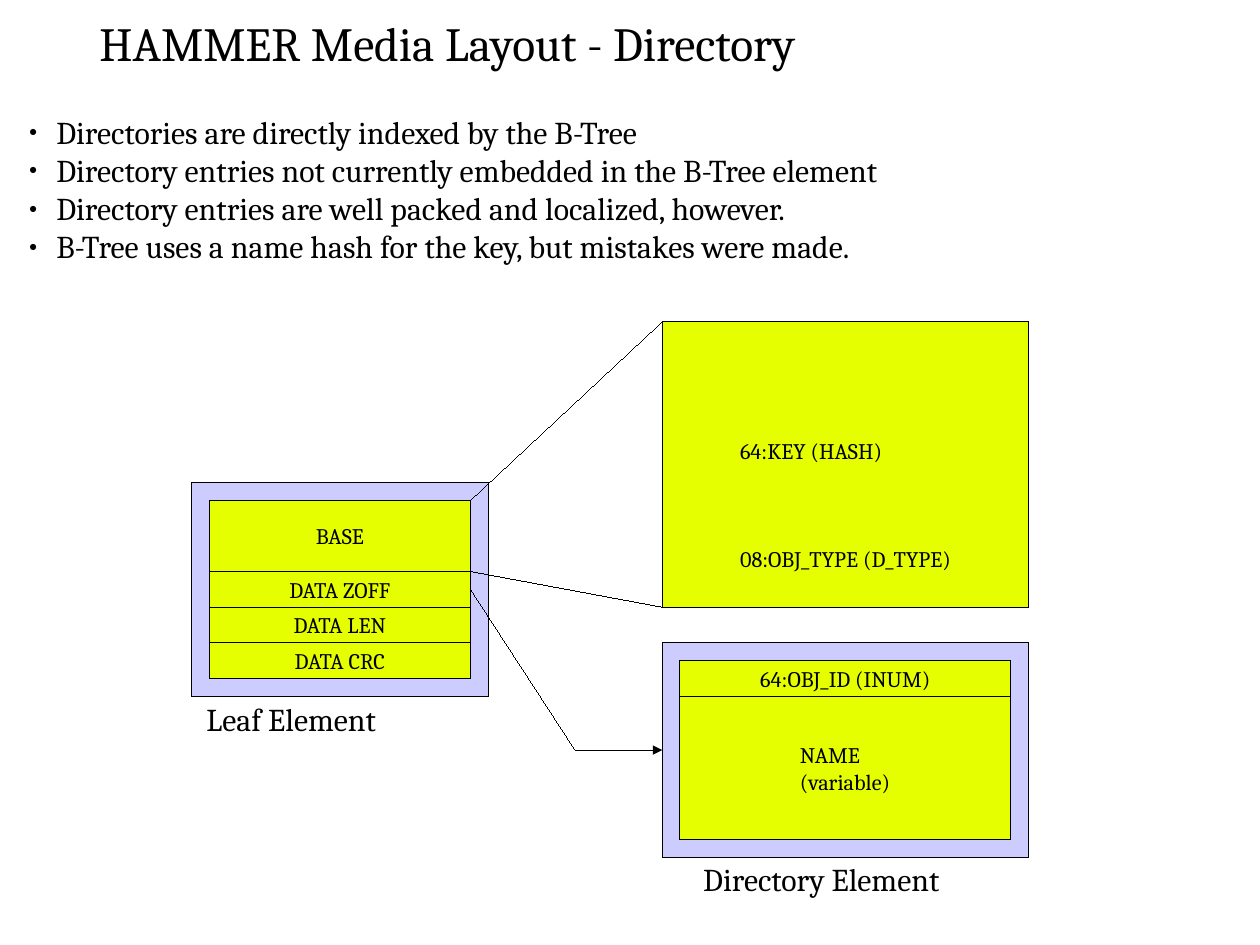
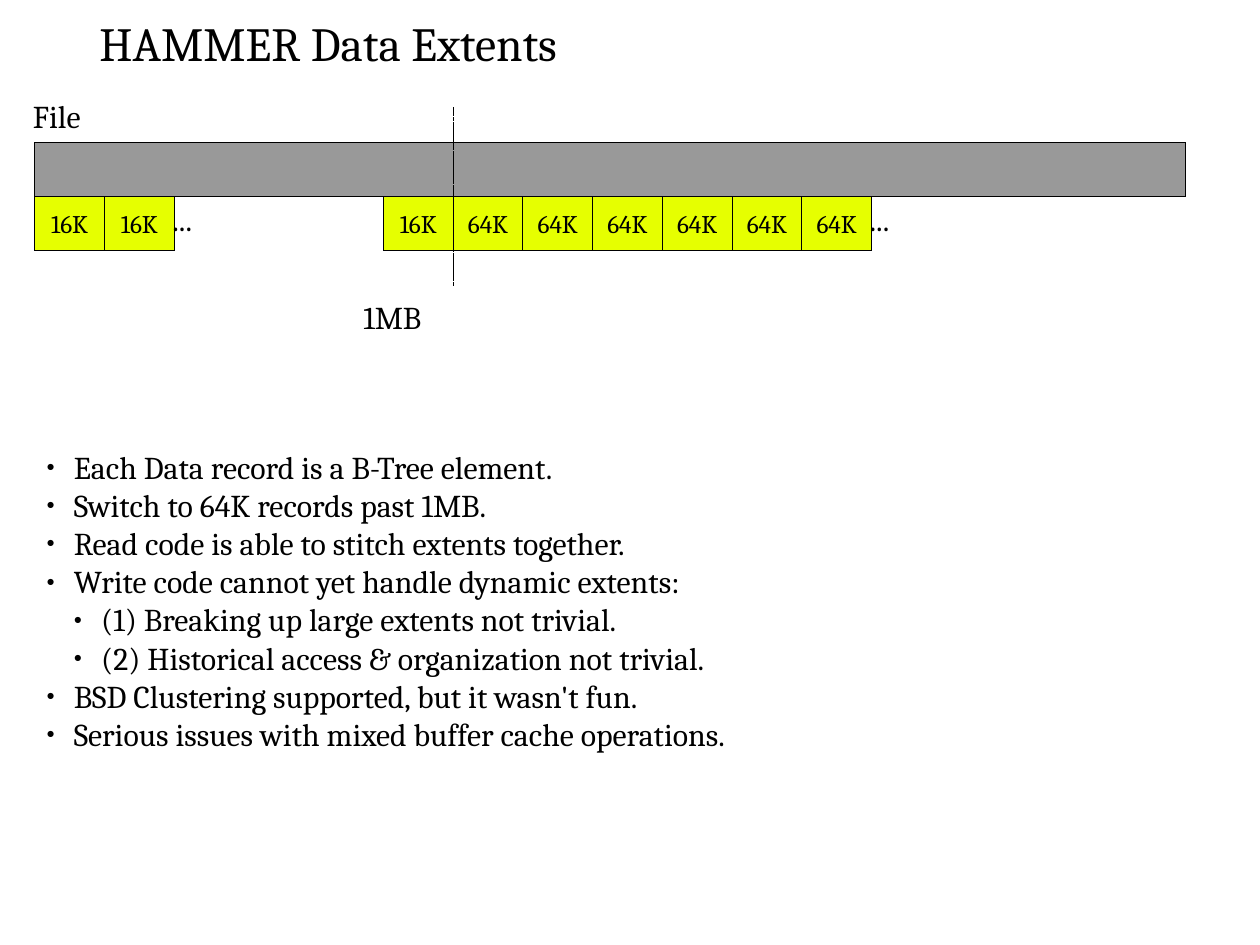
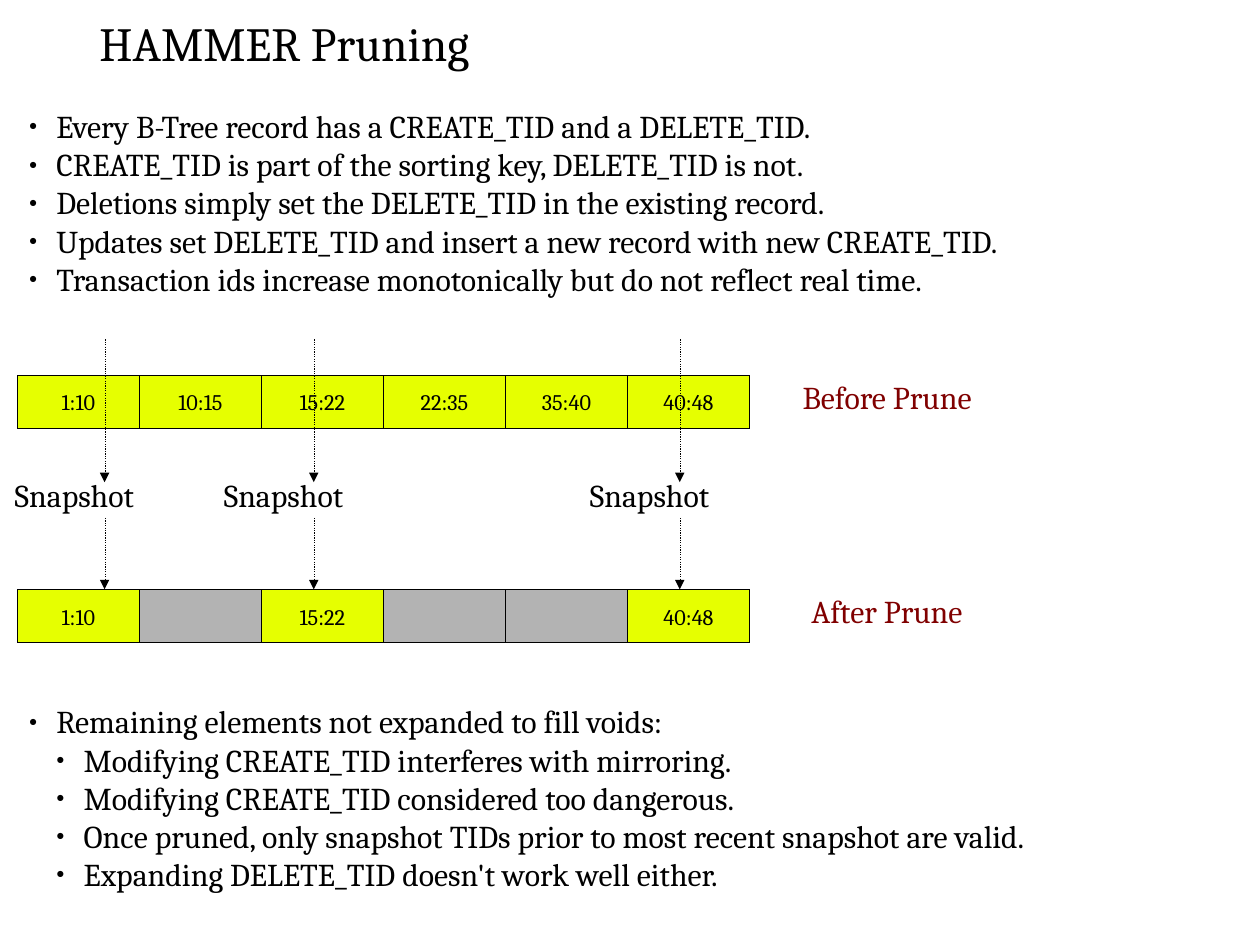
import pptx
import pptx.util
import pptx.dml.color
import pptx.enum.dml
import pptx.enum.shapes
import pptx.enum.text
import pptx.oxml.ns
from lxml import etree

Inches, Pt, Cm = pptx.util.Inches, pptx.util.Pt, pptx.util.Cm
ALIGN = pptx.enum.text.PP_ALIGN
ANCHOR = pptx.enum.text.MSO_ANCHOR
DASH = pptx.enum.dml.MSO_LINE

COLORS = {"ink": "000000", "cell": "E6FF00", "frame": "CCCCFF",
          "file": "999999", "void": "B3B3B3", "caption": "800000"}
FONT = "Cambria"
TITLE_SIZE, TEXT_SIZE, EXTENT_SIZE, CELL_SIZE = 30, 20, 16, 14

# All positions are in columns and rows of this grid.
COLUMN, ROW = Inches(0.61) / 4, Inches(1.25) / 8
TITLE_BOX = (5.05, 0.25, 63.8, 4.3)
LIST_WIDTH = 70
LABEL_HEIGHT = 3.25
BAND_HEIGHT = 3
BULLET_STEP = 0.24

DIRECTORY_LIST = [
    ("Directories are directly indexed by the B-Tree", 0),
    ("Directory entries not currently embedded in the B-Tree element", 0),
    ("Directory entries are well packed and localized, however.", 0),
    ("B-Tree uses a name hash for the key, but mistakes were made.", 0),
]
LEAF_FIELDS = [("BASE", 4), ("DATA ZOFF", 2), ("DATA LEN", 2), ("DATA CRC", 2)]

EXTENT_LIST = [
    ("Each Data record is a B-Tree element.", 0),
    ("Switch to 64K records past 1MB.", 0),
    ("Read code is able to stitch extents together.", 0),
    ("Write code cannot yet handle dynamic extents:", 0),
    ("(1) Breaking up large extents not trivial.", 1),
    ("(2) Historical access & organization not trivial.", 1),
    ("BSD Clustering supported, but it wasn't fun.", 0),
    ("Serious issues with mixed buffer cache operations.", 0),
]
EXTENT_GROUPS = [(2, ["16K"] * 2), (22, ["16K"] + ["64K"] * 6)]
EXTENT_WIDTH = 4

RECORD_LIST = [
    ("Every B-Tree record has a CREATE_TID and a DELETE_TID.", 0),
    ("CREATE_TID is part of the sorting key, DELETE_TID is not.", 0),
    ("Deletions simply set the DELETE_TID in the existing record.", 0),
    ("Updates set DELETE_TID and insert a new record with new CREATE_TID.", 0),
    ("Transaction ids increase monotonically but do not reflect real time.", 0),
]
VOID_LIST = [
    ("Remaining elements not expanded to fill voids:", 0),
    ("Modifying CREATE_TID interferes with mirroring.", 1),
    ("Modifying CREATE_TID considered too dangerous.", 1),
    ("Once pruned, only snapshot TIDs prior to most recent snapshot are valid.", 1),
    ("Expanding DELETE_TID doesn't work well either.", 1),
]
PRUNE_ROWS = [
    ("Before Prune", 45.4, 21, ["1:10", "10:15", "15:22", "22:35", "35:40", "40:48"]),
    ("After Prune", 45.9, 33, ["1:10", "", "15:22", "", "", "40:48"]),
]
RECORD_WIDTH = 7
SNAPSHOT_COLUMNS = [6, 18, 39]


def rgb(name):
    return pptx.dml.color.RGBColor.from_string(COLORS[name])


def grid(left, top, width, height):
    return (round(left * COLUMN), round(top * ROW),
            round(width * COLUMN), round(height * ROW))


def style(para, size, color="ink", align=ALIGN.LEFT):
    para.alignment = align
    para.font.name = FONT
    para.font.size = Pt(size)
    para.font.color.rgb = rgb(color)


def set_hairline(line):
    """Give a line the ink colour and an explicit zero width; return its XML."""
    line.color.rgb = rgb("ink")
    outline = line._get_or_add_ln()
    outline.set("w", "0")
    return outline


def place(shape, box):
    shape.left, shape.top, shape.width, shape.height = grid(*box)


def add_slide(deck, layout_index, title):
    slide = deck.slides.add_slide(deck.slide_layouts[layout_index])
    place(slide.shapes.title, TITLE_BOX)
    frame = slide.shapes.title.text_frame
    frame.text = title
    frame.auto_size = pptx.enum.text.MSO_AUTO_SIZE.NONE
    frame.vertical_anchor = ANCHOR.MIDDLE
    style(frame.paragraphs[0], TITLE_SIZE)
    return slide


def add_bullet(para, level):
    properties = para._p.get_or_add_pPr()
    properties.set("marL", str(Inches(BULLET_STEP * (level + 1))))
    properties.set("indent", str(-Inches(BULLET_STEP)))
    color = etree.SubElement(properties, pptx.oxml.ns.qn("a:buClr"))
    etree.SubElement(color, pptx.oxml.ns.qn("a:srgbClr"), val=COLORS["ink"])
    etree.SubElement(properties, pptx.oxml.ns.qn("a:buSzPct"), val="45000")
    etree.SubElement(properties, pptx.oxml.ns.qn("a:buChar"), char="●")


def fill_list(body, left, top, items):
    """Write (text, level) items as bullets into a body placeholder."""
    place(body, (left, top, LIST_WIDTH, len(items) * 2.13 + 0.64))
    frame = body.text_frame
    frame.text = "\n".join(text for text, _ in items)
    frame.auto_size = pptx.enum.text.MSO_AUTO_SIZE.NONE
    frame.vertical_anchor = ANCHOR.TOP
    for para, (_, level) in zip(frame.paragraphs, items):
        para.level = level
        para.space_before = Pt(0)
        style(para, TEXT_SIZE)
        add_bullet(para, level)


def add_box(slide, box, fill="cell", text="", size=CELL_SIZE, align=ALIGN.CENTER):
    shape = slide.shapes.add_shape(pptx.enum.shapes.MSO_SHAPE.RECTANGLE, *grid(*box))
    shape.shadow.inherit = False
    shape.fill.solid()
    shape.fill.fore_color.rgb = rgb(fill)
    set_hairline(shape.line)
    if text:
        shape.text_frame.text = text
        shape.text_frame.vertical_anchor = ANCHOR.MIDDLE
        for para in shape.text_frame.paragraphs:
            style(para, size, align=align)
    return shape


def add_label(slide, left, top, text, color="ink", width=18):
    label = slide.shapes.add_textbox(*grid(left, top, width, LABEL_HEIGHT))
    label.text_frame.word_wrap = True
    label.text_frame.vertical_anchor = ANCHOR.MIDDLE
    label.text_frame.text = text
    style(label.text_frame.paragraphs[0], TEXT_SIZE, color)


def add_line(slide, start, end, dash=None, arrow=False):
    ends = grid(*start, *end)
    line = slide.shapes.add_connector(pptx.enum.shapes.MSO_CONNECTOR.STRAIGHT, *ends)
    outline = set_hairline(line.line)
    if dash:
        line.line.dash_style = dash
    if arrow:
        etree.SubElement(outline, pptx.oxml.ns.qn("a:tailEnd"), type="triangle")
    etree.SubElement(line._element.spPr, pptx.oxml.ns.qn("a:effectLst"))
    return line


def build_directory(deck):
    slide = add_slide(deck, 1, "HAMMER Media Layout - Directory")
    fill_list(slide.placeholders[1], 1, 6, DIRECTORY_LIST)

    add_box(slide, (11, 27, 17, 12), "frame")
    fields, top = {}, 28
    for name, height in LEAF_FIELDS:
        fields[name] = add_box(slide, (12, top, 15, height), text=name)
        top += height
    add_label(slide, 11.2, 38.65, "Leaf Element")

    base = add_box(slide, (38, 18, 21, 16), align=ALIGN.LEFT,
                   text="64:KEY (HASH)\n08:OBJ_TYPE (D_TYPE)")
    base.text_frame.vertical_anchor = ANCHOR.BOTTOM
    base.text_frame.margin_left = Inches(0.68)
    base.text_frame.margin_bottom = Inches(0.31)
    base.text_frame.paragraphs[1].space_before = Pt(51)
    add_line(slide, (27, 28), (38, 18))
    add_line(slide, (27, 32), (38, 34))

    element = add_box(slide, (38, 36, 21, 12), "frame")
    add_box(slide, (39, 37, 19, 2), text="64:OBJ_ID (INUM)")
    name = add_box(slide, (39, 39, 19, 8), text="NAME\n(variable)", align=ALIGN.LEFT)
    name.text_frame.margin_left = Inches(1.05)
    add_label(slide, 39.7, 47.6, "Directory Element")

    bend = (33, 42)
    add_line(slide, (27, 33), bend).begin_connect(fields["DATA ZOFF"], 3)
    add_line(slide, bend, (38, 42), arrow=True).end_connect(element, 1)


def build_extents(deck):
    slide = add_slide(deck, 1, "HAMMER Data Extents")
    fill_list(slide.placeholders[1], 2, 24.75, EXTENT_LIST)
    add_label(slide, 1.25, 4.86, "File")
    add_box(slide, (2, 8, 66, BAND_HEIGHT), "file")
    for first, sizes in EXTENT_GROUPS:
        for index, size in enumerate(sizes):
            add_box(slide, (first + index * EXTENT_WIDTH, 11, EXTENT_WIDTH, BAND_HEIGHT),
                    text=size, size=EXTENT_SIZE)
        end = first + len(sizes) * EXTENT_WIDTH
        add_label(slide, end - 0.75, 10.62, "...", width=6)
    add_line(slide, (26, 16), (26, 6), DASH.SQUARE_DOT)
    add_label(slide, 20.2, 16.13, "1MB")


def build_pruning(deck):
    slide = add_slide(deck, 3, "HAMMER Pruning")
    fill_list(slide.placeholders[1], 1, 5.67, RECORD_LIST)
    fill_list(slide.placeholders[2], 1, 39, VOID_LIST)
    for caption, left, top, records in PRUNE_ROWS:
        for index, record in enumerate(records):
            add_box(slide, (1 + index * RECORD_WIDTH, top, RECORD_WIDTH, BAND_HEIGHT),
                    "cell" if record else "void", record)
        add_label(slide, left, top - 0.4, caption, "caption")
    for column in SNAPSHOT_COLUMNS:
        add_label(slide, column - 5.8, 26.1, "Snapshot", width=12)
        for start, end in [(19, 27), (29, 33)]:
            add_line(slide, (column, start), (column, end), DASH.ROUND_DOT, arrow=True)


def main():
    deck = pptx.Presentation()
    deck.slide_width, deck.slide_height = Cm(28), Cm(21)
    build_directory(deck)
    build_extents(deck)
    build_pruning(deck)
    deck.save("out.pptx")


if __name__ == "__main__":
    main()
